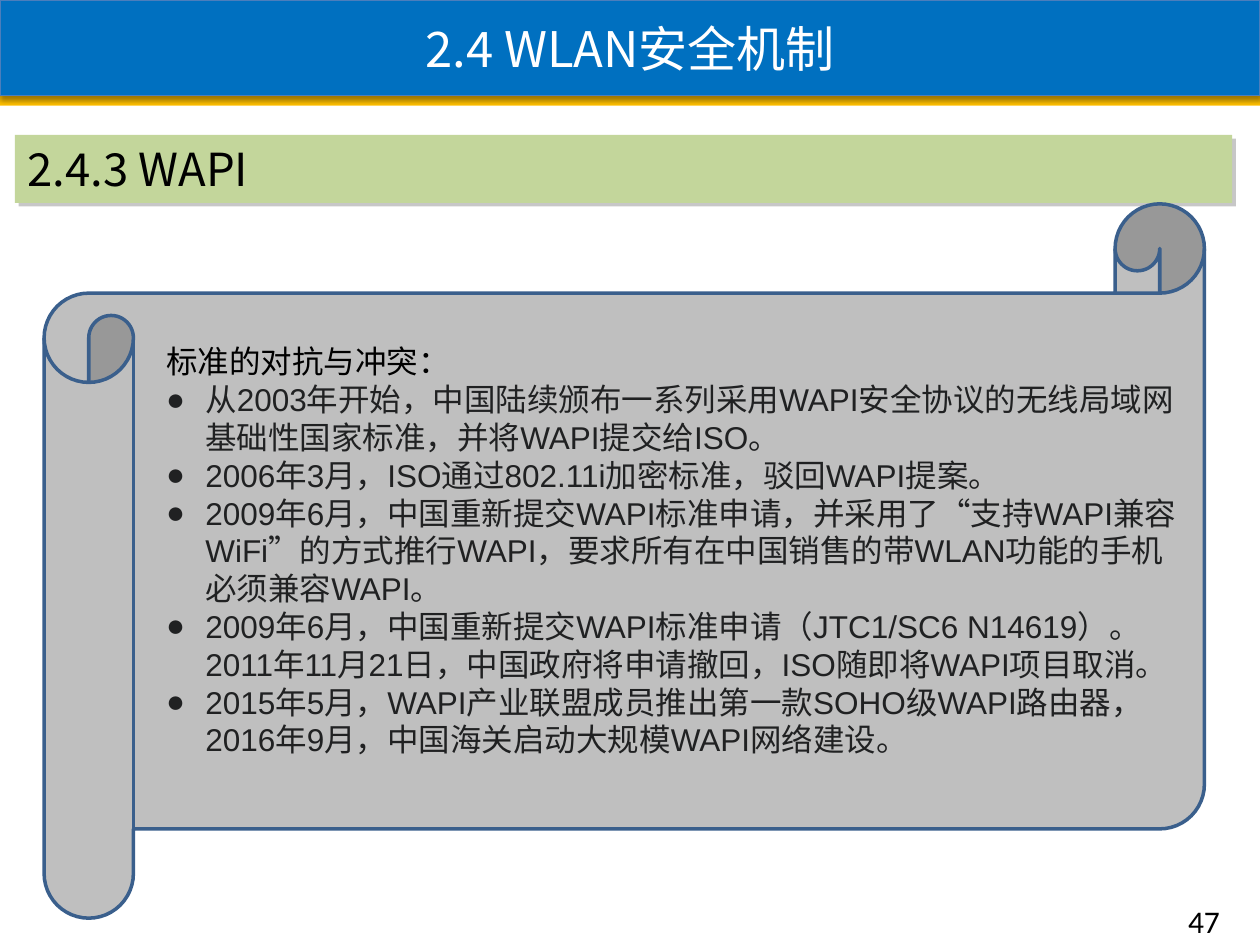
from dataclasses import dataclass
from typing import Optional

from lxml.etree import SubElement
from pptx import Presentation
from pptx.dml.color import RGBColor
from pptx.enum.shapes import MSO_SHAPE
from pptx.enum.text import MSO_ANCHOR, MSO_AUTO_SIZE, PP_ALIGN
from pptx.oxml.ns import qn
from pptx.util import Cm, Pt

HEADING_FONT = "Noto Sans CJK SC"
BULLET_INDENT = Cm(0.79)

HEADING = "标准的对抗与冲突："
EVENTS = [
    "从2003年开始，中国陆续颁布一系列采用WAPI安全协议的无线局域网基础性国家标准，并将WAPI提交给ISO。",
    "2006年3月，ISO通过802.11i加密标准，驳回WAPI提案。",
    "2009年6月，中国重新提交WAPI标准申请，并采用了“支持WAPI兼容WiFi”的方式推行WAPI，"
    "要求所有在中国销售的带WLAN功能的手机必须兼容WAPI。",
    "2009年6月，中国重新提交WAPI标准申请（JTC1/SC6 N14619）。2011年11月21日，"
    "中国政府将申请撤回，ISO随即将WAPI项目取消。",
    "2015年5月，WAPI产业联盟成员推出第一款SOHO级WAPI路由器，2016年9月，中国海关启动大规模WAPI网络建设。",
]


@dataclass(frozen=True)
class Box:
    left: float
    top: float
    width: float
    height: float

    def lengths(self):
        return Cm(self.left), Cm(self.top), Cm(self.width), Cm(self.height)


@dataclass(frozen=True)
class Outline:
    color: str
    width: float


@dataclass(frozen=True)
class Shadow:
    """Blur and distance in points, opacity in percent, angle in degrees."""
    color: str
    opacity: int
    blur: float
    distance: float
    angle: int


def rgb(color: str) -> RGBColor:
    return RGBColor.from_string(color)


def add_shadow(shape, shadow: Shadow) -> None:
    effects = shape._element.spPr.find(qn("a:effectLst"))
    outer = SubElement(effects, qn("a:outerShdw"), {
        "blurRad": str(Pt(shadow.blur)),
        "dist": str(Pt(shadow.distance)),
        "dir": str(shadow.angle * 60000),
        "algn": "tl",
        "rotWithShape": "0",
    })
    tint = SubElement(outer, qn("a:srgbClr"), val=shadow.color)
    SubElement(tint, qn("a:alpha"), val=str(shadow.opacity * 1000))


def add_panel(slide, kind: MSO_SHAPE, box: Box, fill: str,
              outline: Optional[Outline] = None, shadow: Optional[Shadow] = None):
    panel = slide.shapes.add_shape(kind, *box.lengths())
    panel.fill.solid()
    panel.fill.fore_color.rgb = rgb(fill)
    if outline:
        panel.line.color.rgb = rgb(outline.color)
        panel.line.width = Pt(outline.width)
    else:
        panel.line.fill.background()
    panel.shadow.inherit = False
    if shadow:
        add_shadow(panel, shadow)
    return panel


def write(paragraph, text: str, size: int, font: str, color: str,
          align: PP_ALIGN = PP_ALIGN.LEFT) -> None:
    paragraph.text = text
    paragraph.alignment = align
    for run in paragraph.runs:
        run.font.size = Pt(size)
        run.font.name = font
        run.font.color.rgb = rgb(color)
        SubElement(run.font._element, qn("a:ea"), typeface=HEADING_FONT)


def add_bullet(paragraph) -> None:
    properties = paragraph._p.get_or_add_pPr()
    properties.set("marL", str(BULLET_INDENT))
    properties.set("indent", str(-BULLET_INDENT))
    SubElement(properties, qn("a:buFont"), typeface="Arial")
    SubElement(properties, qn("a:buChar"), char="●")


def add_header(slide) -> None:
    add_panel(slide, MSO_SHAPE.RECTANGLE, Box(0, 1.93, 25.4, 0.2), "FFC000")
    title = add_panel(slide, MSO_SHAPE.RECTANGLE, Box(0, 0, 25.4, 1.93), "0070C0",
                      Outline("4B7EBC", 0.75), Shadow("000000", 38, 3.1, 1.6, 90))
    title.text_frame.vertical_anchor = MSO_ANCHOR.MIDDLE
    write(title.text_frame.paragraphs[0], "2.4 WLAN安全机制", 28, HEADING_FONT,
          "FFFFFF", PP_ALIGN.CENTER)

    section = add_panel(slide, MSO_SHAPE.RECTANGLE, Box(0.3, 2.72, 24.54, 1.37), "C3D69B",
                        shadow=Shadow("808080", 43, 0, 3, 45))
    section.text_frame.vertical_anchor = MSO_ANCHOR.TOP
    write(section.text_frame.paragraphs[0], "2.4.3 WAPI", 26, HEADING_FONT, "000000")


def add_page_number(slide) -> None:
    number = slide.shapes.add_textbox(*Box(23.7, 18.06, 1.68, 1.02).lengths())
    number.text_frame.word_wrap = True
    write(number.text_frame.paragraphs[0], "47", 18, "Calibri", "000000")


def add_history(slide) -> None:
    add_panel(slide, MSO_SHAPE.HORIZONTAL_SCROLL, Box(0.89, 4.11, 23.39, 14.4), "BFBFBF",
              Outline("3A5F8C", 2))
    history = slide.shapes.add_textbox(*Box(3.1, 6.78, 21.21, 8.71).lengths()).text_frame
    history.word_wrap = True
    history.auto_size = MSO_AUTO_SIZE.SHAPE_TO_FIT_TEXT
    write(history.paragraphs[0], HEADING, 18, "Arial", "000000")
    for event in EVENTS:
        paragraph = history.add_paragraph()
        add_bullet(paragraph)
        write(paragraph, event, 18, "Arial", "202122")


def main() -> None:
    deck = Presentation()
    deck.slide_width, deck.slide_height = Cm(25.4), Cm(19.05)
    slide = deck.slides.add_slide(deck.slide_layouts[6])
    add_header(slide)
    add_page_number(slide)
    add_history(slide)
    deck.save("out.pptx")


if __name__ == "__main__":
    main()
